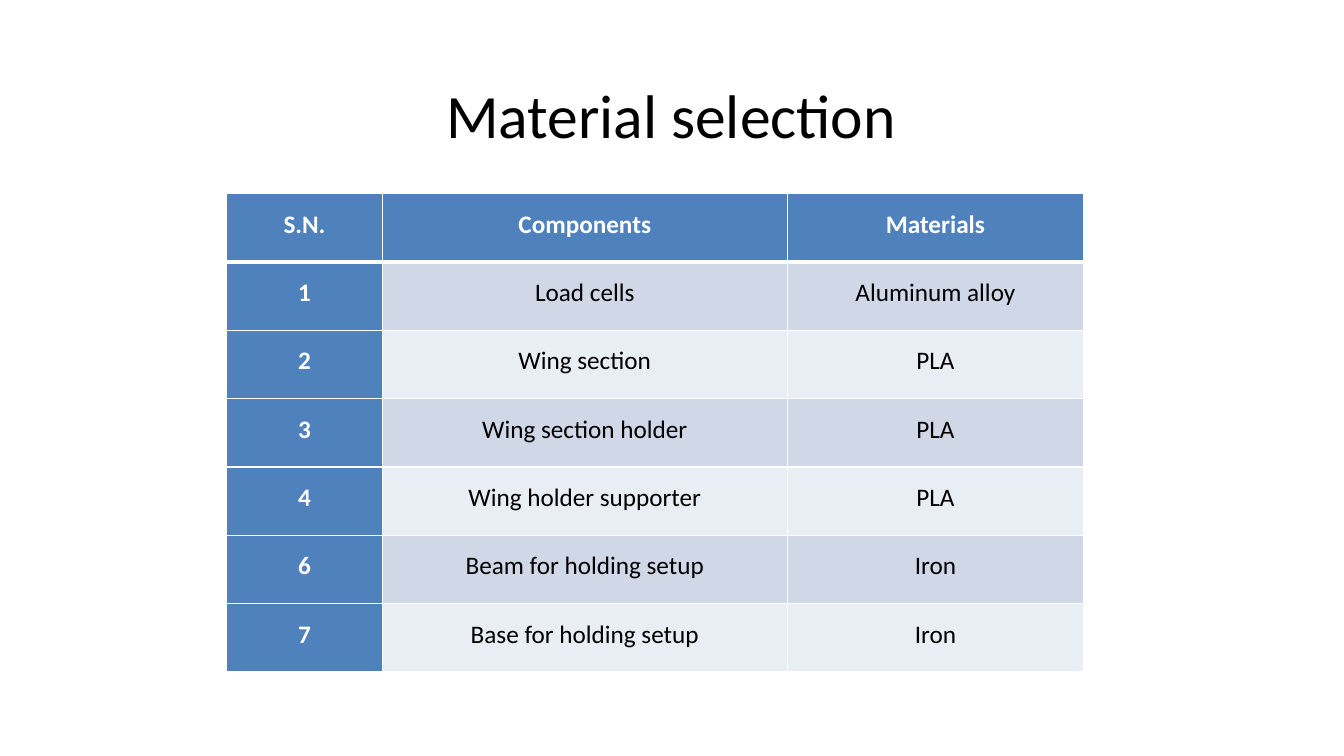
import pptx
import pptx.dml.color
import pptx.enum.text
import pptx.oxml.ns
import pptx.util
from dataclasses import dataclass
from lxml import etree

Pt = pptx.util.Pt
ALIGN = pptx.enum.text.PP_ALIGN
ANCHOR = pptx.enum.text.MSO_ANCHOR


@dataclass(frozen=True)
class Theme:
    font: str = "Calibri"
    title_size: int = 44
    table_size: int = 18
    ink: str = "000000"
    white: str = "FFFFFF"
    accent: str = "4F81BD"
    bands: tuple = ("D0D8E8", "E9EDF4")
    thin: int = 1
    thick: int = 3


class SlideBuilder:
    def __init__(self, deck, theme):
        self.theme = theme
        title_only = deck.slide_layouts[5]
        self.page = deck.slides.add_slide(title_only)

    def format(self, para, size, color, bold=False):
        para.alignment = ALIGN.CENTER
        para.font.name = self.theme.font
        para.font.size = Pt(size)
        para.font.bold = bold
        para.font.color.rgb = pptx.dml.color.RGBColor.from_string(color)

    def title(self, text, left, top, width, height):
        box = self.page.shapes.title
        box.left, box.top, box.width, box.height = map(Pt, (left, top, width, height))
        box.text_frame.text = text
        box.text_frame.vertical_anchor = ANCHOR.MIDDLE
        self.format(box.text_frame.paragraphs[0], self.theme.title_size, self.theme.ink)

    def border(self, cell, side, weight):
        qn = pptx.oxml.ns.qn
        properties = cell._tc.get_or_add_tcPr()
        line = etree.SubElement(properties, qn(f"a:ln{side}"), w=str(Pt(weight)))
        fill = etree.SubElement(line, qn("a:solidFill"))
        etree.SubElement(fill, qn("a:srgbClr"), val=self.theme.white)

    def cell(self, cell, text, row, column):
        theme = self.theme
        is_header = row == 0 or column == 0

        # Borders, with a heavier rule under the header row
        weights = {
            "L": theme.thin,
            "R": theme.thin,
            "T": theme.thick if row == 1 else theme.thin,
            "B": theme.thick if row == 0 else theme.thin,
        }
        for side, weight in weights.items():
            self.border(cell, side, weight)

        # Fill and text
        color = theme.accent if is_header else theme.bands[(row - 1) % 2]
        cell.fill.solid()
        cell.fill.fore_color.rgb = pptx.dml.color.RGBColor.from_string(color)
        cell.margin_left = cell.margin_right = Pt(5)
        cell.margin_top = cell.margin_bottom = Pt(0)
        cell.text = text
        para = cell.text_frame.paragraphs[0]
        para.line_spacing = 1.5
        self.format(para, theme.table_size, theme.white if is_header else theme.ink, is_header)

    def table(self, rows, left, top, column_widths, row_height):
        frame = self.page.shapes.add_table(
            len(rows), len(column_widths), Pt(left), Pt(top),
            Pt(sum(column_widths)), Pt(row_height * len(rows)))
        table = frame.table
        table.first_col = True
        for column, width in zip(table.columns, column_widths):
            column.width = Pt(width)
        for row_index, texts in enumerate(rows):
            table.rows[row_index].height = Pt(row_height)
            for column_index, text in enumerate(texts):
                self.cell(table.cell(row_index, column_index), text, row_index, column_index)


def main():
    deck = pptx.Presentation()
    deck.slide_width, deck.slide_height = Pt(960), Pt(540)
    slide = SlideBuilder(deck, Theme())

    # Heading
    slide.title("Material selection", 83.5, 24, 792, 114.5)

    # Materials by component
    materials = [
        ("S.N.", "Components", "Materials"),
        ("1", "Load cells", "Aluminum alloy"),
        ("2", "Wing section", "PLA"),
        ("3", "Wing section holder", "PLA"),
        ("4", "Wing holder supporter", "PLA"),
        ("6", "Beam for holding setup", "Iron"),
        ("7", "Base for holding setup", "Iron"),
    ]
    slide.table(materials, 162, 138.5, (111, 289.5, 211.5), 48.8)

    deck.save("out.pptx")


if __name__ == "__main__":
    main()
